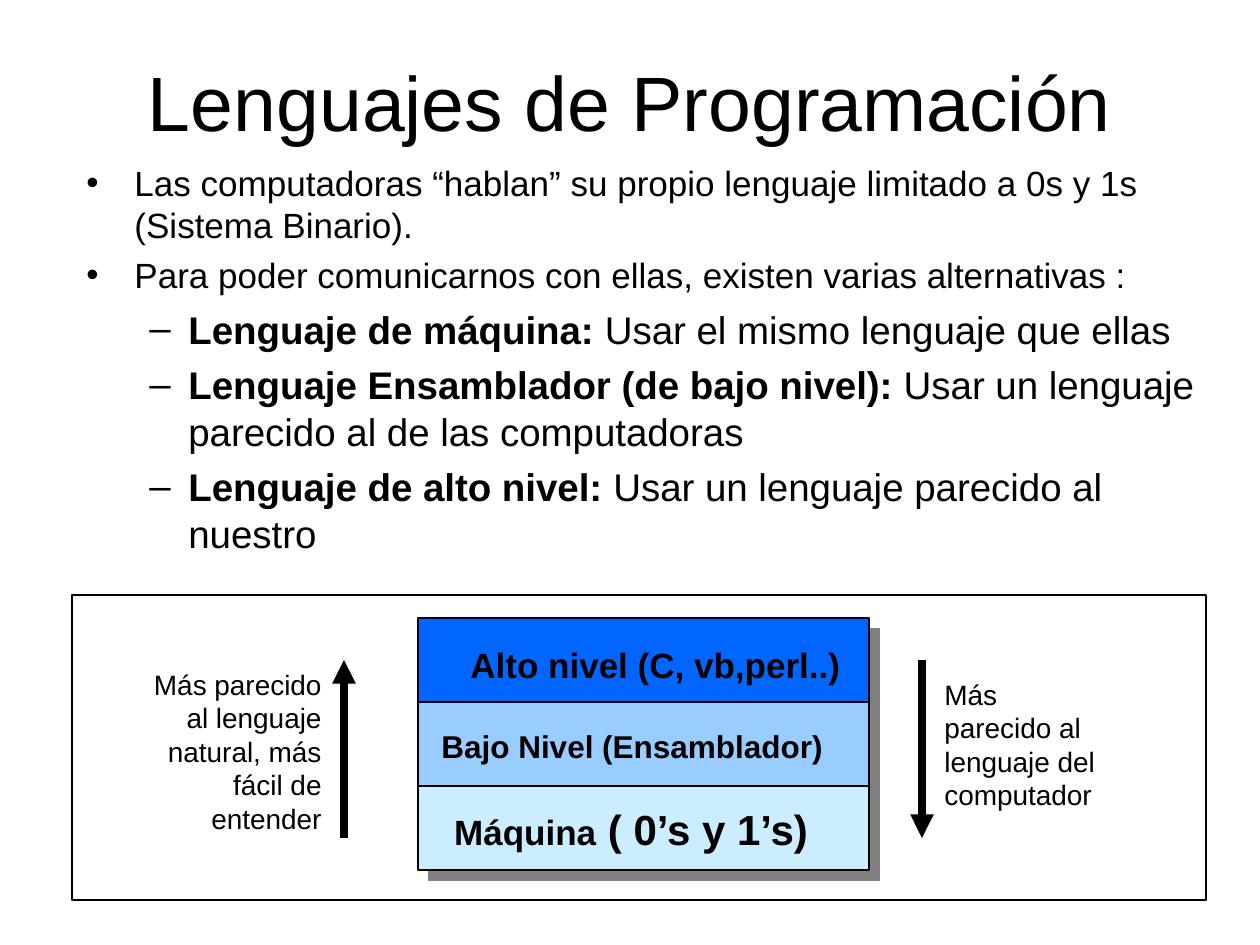
import dataclasses
import pptx
import pptx.util
import pptx.dml.color
import pptx.enum.shapes
import pptx.enum.text
import pptx.oxml.ns
import lxml.etree

SHAPE = pptx.enum.shapes.MSO_SHAPE
LINE = pptx.enum.shapes.MSO_CONNECTOR
ALIGN = pptx.enum.text.PP_ALIGN
ANCHOR = pptx.enum.text.MSO_ANCHOR
SCALE = 914400 / 126


@dataclasses.dataclass(frozen=True)
class Theme:
    """Colours, font and type sizes of the slide."""
    font: str = "Arial"
    ink: str = "000000"
    paper: str = "FFFFFF"
    shade: str = "808080"
    high: str = "0066FF"
    low: str = "99CCFF"
    base: str = "CCECFF"
    title: int = 44
    large: int = 24
    sub: int = 22
    body: int = 20
    label: int = 18
    note: int = 16


THEME = Theme()


def emu(px):
    """Turn px into EMU."""
    return pptx.util.Emu(round(px * SCALE))


def rgb(code):
    """Return the colour of a hex code."""
    return pptx.dml.color.RGBColor.from_string(code)


def add_xml(parent, tag, **attrs):
    """Append a DrawingML element to its parent."""
    return lxml.etree.SubElement(parent, pptx.oxml.ns.qn(tag), attrs)


def set_bullet(para, mark, left, hang):
    """Give a paragraph a bullet with a hanging indent."""
    props = para._p.get_or_add_pPr()
    props.set("marL", str(emu(left)))
    props.set("indent", str(-emu(hang)))
    color = add_xml(props, "a:buClr")
    add_xml(color, "a:srgbClr", val=THEME.ink)
    add_xml(props, "a:buFont", typeface=THEME.font)
    add_xml(props, "a:buChar", char=mark)


def write(para, text, size, bold=False, align=ALIGN.LEFT):
    """Add a run of formatted text to a paragraph."""
    para.alignment = align
    run = para.add_run()
    run.text = text
    run.font.name = THEME.font
    run.font.size = pptx.util.Pt(size)
    run.font.bold = bold
    run.font.color.rgb = rgb(THEME.ink)


def add_text(slide, box, wrap=True, anchor=ANCHOR.TOP):
    """Add an empty text box and return its frame."""
    frame = slide.shapes.add_textbox(*map(emu, box)).text_frame
    frame.word_wrap = wrap
    frame.vertical_anchor = anchor
    return frame


def add_rect(slide, box, fill, shadow=False):
    """Add an outlined rectangle, with or without a hard shadow."""
    rect = slide.shapes.add_shape(SHAPE.RECTANGLE, *map(emu, box))
    rect.shadow.inherit = False
    rect.fill.solid()
    rect.fill.fore_color.rgb = rgb(fill)
    rect.line.color.rgb = rgb(THEME.ink)
    rect.line.width = pptx.util.Pt(0.75)
    if shadow:
        effects = rect._element.spPr.find(pptx.oxml.ns.qn("a:effectLst"))
        outer = add_xml(effects, "a:outerShdw", dist=str(pptx.util.Pt(8.5)),
                        dir="2700000", algn="ctr", rotWithShape="0")
        add_xml(outer, "a:srgbClr", val=THEME.shade)


def add_arrow(slide, x, start, end):
    """Add a thick vertical arrow that points at its end."""
    arrow = slide.shapes.add_connector(
        LINE.STRAIGHT, emu(x), emu(start), emu(x), emu(end))
    arrow.line.color.rgb = rgb(THEME.ink)
    arrow.line.width = pptx.util.Pt(4.5)
    add_xml(arrow.line._get_or_add_ln(), "a:tailEnd", type="triangle")
    add_xml(arrow._element.spPr, "a:effectLst")


def add_title(slide, box):
    """Add the slide title."""
    frame = add_text(slide, box, anchor=ANCHOR.BOTTOM)
    write(frame.paragraphs[0], "Lenguajes de Programación", THEME.title,
          align=ALIGN.CENTER)


def add_body(slide, box):
    """Add the bulleted list on two levels."""
    items = [
        ("", "Las computadoras “hablan” su propio lenguaje limitado a 0s y 1s "
             "(Sistema Binario)."),
        ("", "Para poder comunicarnos con ellas, existen varias alternativas :"),
        ("Lenguaje de máquina:", " Usar el mismo lenguaje que ellas"),
        ("Lenguaje Ensamblador (de bajo nivel):",
         " Usar un lenguaje parecido al de las computadoras"),
        ("Lenguaje de alto nivel:", " Usar un lenguaje parecido al nuestro"),
    ]
    frame = add_text(slide, box)
    for index, (term, text) in enumerate(items):
        para = frame.paragraphs[0] if index == 0 else frame.add_paragraph()
        size = THEME.sub if term else THEME.body
        if index:
            para.space_before = pptx.util.Pt(size / 4)
        if term:
            para.level = 1
            set_bullet(para, "–", 102, 39)
            write(para, term, size, bold=True)
        else:
            set_bullet(para, "•", 48, 48)
        write(para, text, size)


def add_levels(slide, box):
    """Add the framed stack of language levels with its two arrows."""
    left, top, width, height = box
    add_rect(slide, box, THEME.paper)
    stack = [
        (THEME.high, (386, 42, 396, 55), ALIGN.LEFT,
         [("Alto nivel (C, vb,perl..)", THEME.body)]),
        (THEME.low, (357, 126, 431, 50), ALIGN.LEFT,
         [("Bajo Nivel (Ensamblador)", THEME.label)]),
        (THEME.base, (368, 202, 382, 63), ALIGN.CENTER,
         [("Máquina", THEME.body), (" ( 0’s y 1’s)", THEME.large)]),
    ]
    for row, (fill, *rest) in enumerate(stack):
        add_rect(slide, (left + 346, top + 23 + 84 * row, 451, 84), fill, True)
    for fill, (x, y, wide, high), align, runs in stack:
        frame = add_text(slide, (left + x, top + y, wide, high), wrap=False)
        for text, size in runs:
            write(frame.paragraphs[0], text, size, bold=True, align=align)
    notes = [
        ("Más parecido al lenguaje natural, más fácil de entender",
         (63, 66, 199, 181), ALIGN.RIGHT),
        ("Más parecido al lenguaje del computador",
         (860, 76, 189, 147), ALIGN.LEFT),
    ]
    for text, (x, y, wide, high), align in notes:
        frame = add_text(slide, (left + x, top + y, wide, high))
        write(frame.paragraphs[0], text, THEME.note, align=align)
    add_arrow(slide, left + 272, top + 243, top + 65)
    add_arrow(slide, left + 850, top + 65, top + 243)


def main():
    """Build the slide and save it."""
    deck = pptx.Presentation()
    deck.slide_width, deck.slide_height = emu(1260), emu(945)
    slide = deck.slides.add_slide(deck.slide_layouts[6])
    add_body(slide, (74, 155, 1150, 416))
    add_title(slide, (63, 38, 1134, 115))
    add_levels(slide, (72, 595, 1134, 305))
    deck.save("out.pptx")


if __name__ == "__main__":
    main()
